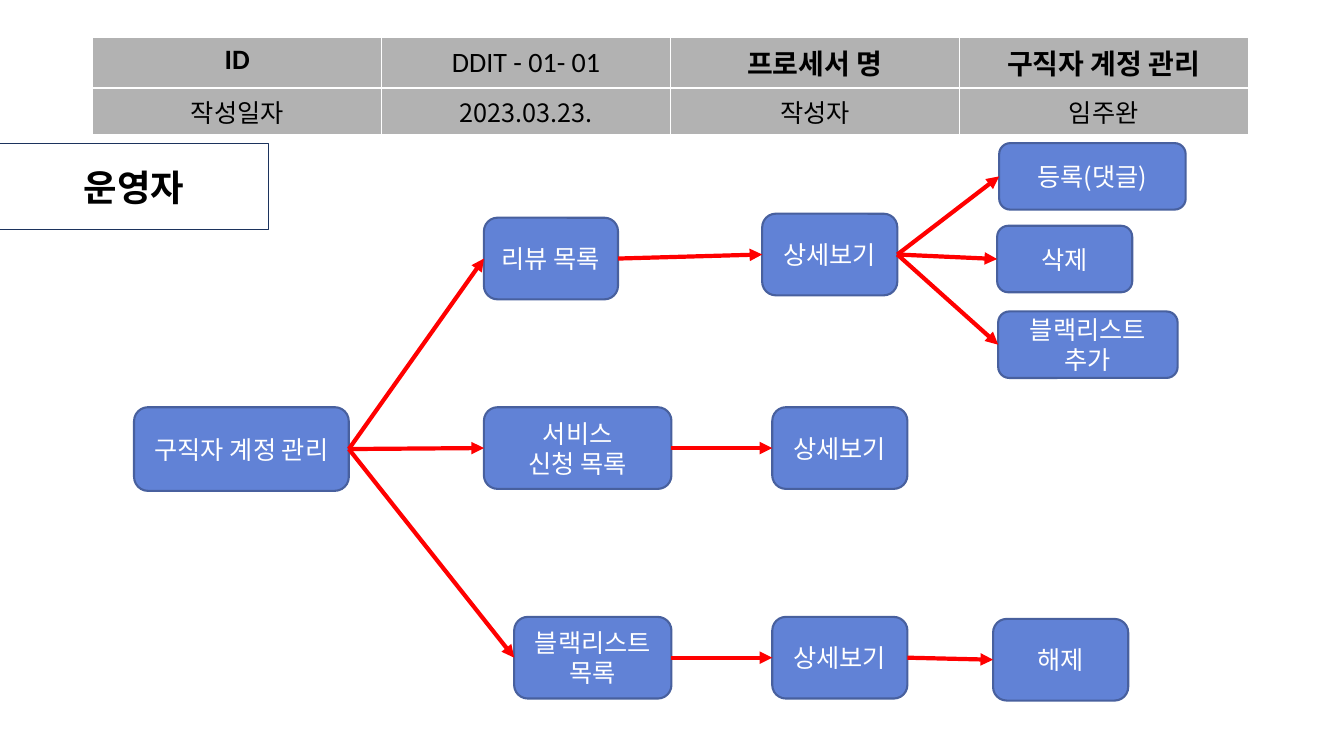
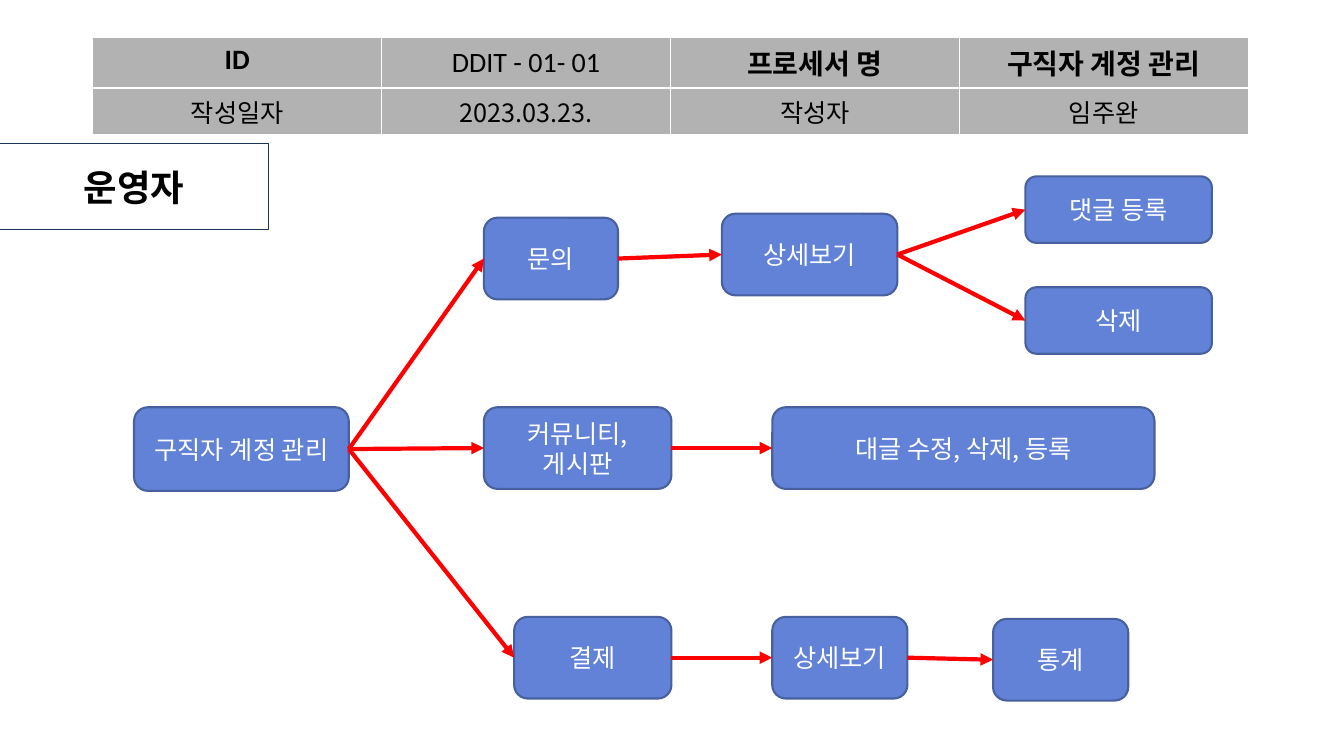
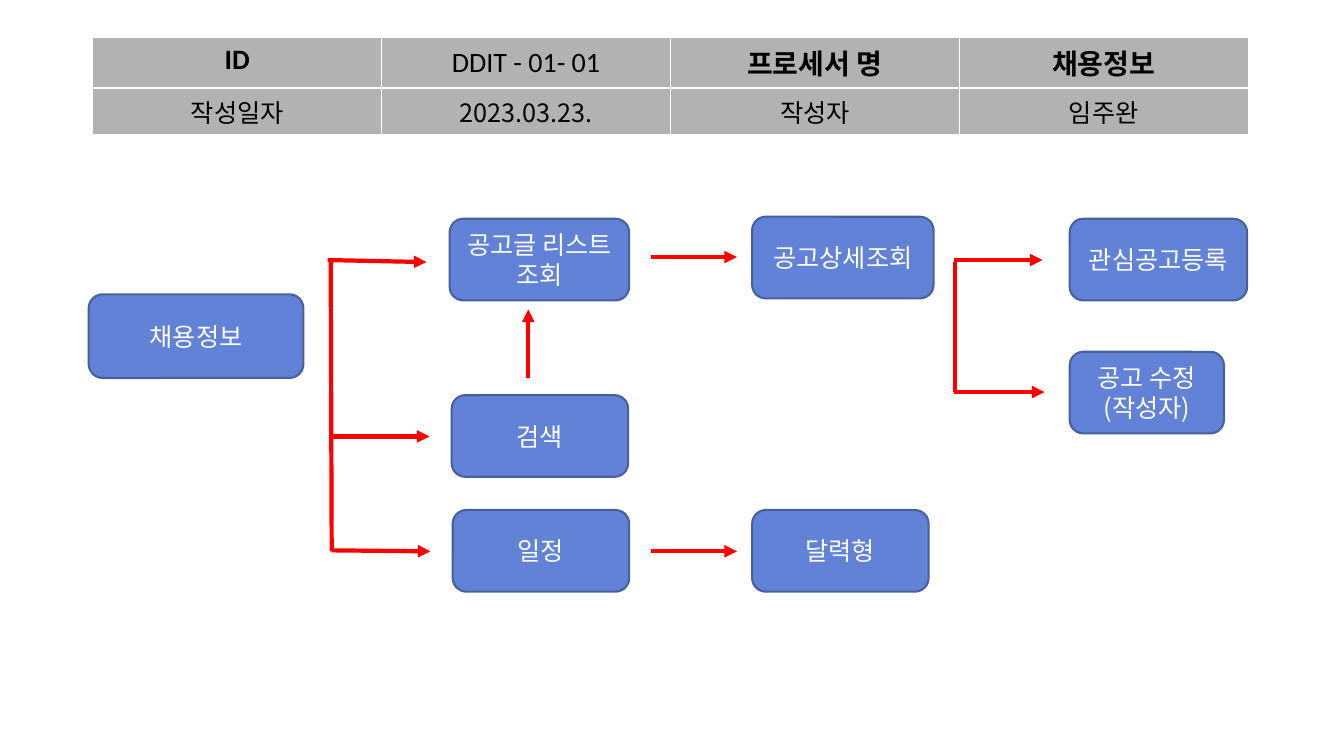
from dataclasses import dataclass
from typing import NamedTuple

from lxml.etree import SubElement
from pptx import Presentation
from pptx.dml.color import RGBColor as Rgb
from pptx.enum.shapes import MSO_CONNECTOR as Connector, MSO_SHAPE as Preset
from pptx.enum.text import MSO_ANCHOR as Anchor, PP_ALIGN as Align
from pptx.oxml.ns import qn
from pptx.util import Inches, Pt


@dataclass(frozen=True)
class Theme:
    white: Rgb = Rgb(0xFF, 0xFF, 0xFF)
    black: Rgb = Rgb(0, 0, 0)
    header_fill: Rgb = Rgb(0xB2, 0xB2, 0xB2)
    step_fill: Rgb = Rgb(0x61, 0x82, 0xD6)
    step_edge: Rgb = Rgb(0x48, 0x60, 0x9E)
    role_edge: Rgb = Rgb(0x1C, 0x33, 0x5D)
    flow: Rgb = Rgb(0xFF, 0, 0)
    korean: str = "Noto Sans CJK KR"
    heading: str = "Calibri"
    body_size: int = 18
    heading_size: int = 20
    role_size: int = 26
    step_edge_width: float = 1.5
    flow_width: float = 3
    border_width: float = 1


THEME = Theme()


class Box(NamedTuple):
    left: float
    top: float
    width: float
    height: float = 0.81


class Segment(NamedTuple):
    x1: float
    y1: float
    x2: float
    y2: float
    arrow: bool = True


@dataclass(frozen=True)
class Step:
    text: str
    box: Box
    leads_to: tuple["Step", ...] = ()


@dataclass(frozen=True)
class Page:
    process: str
    steps: tuple[Step, ...]
    role: str = ""
    segments: tuple[Segment, ...] = ()


ROLE = Box(0, 1.42, 2.66, 0.86)
ROOT = Box(1.33, 4.04, 2.13, 0.83)
UPPER = Box(4.8, 2.16, 1.33)
MIDDLE = Box(4.8, 4.04, 1.86)
LOWER = Box(5.1, 6.12, 1.56)
MIDDLE_DETAIL = Box(7.66, 4.04, 1.34)
LOWER_DETAIL = Box(7.66, 6.12, 1.34)
LOWER_RESULT = Box(9.85, 6.14, 1.34)

REVIEW_ACTIONS = (
    Step("등록(댓글)", Box(9.91, 1.42, 1.85, 0.66)),
    Step("삭제", Box(9.89, 2.24, 1.34, 0.66)),
    Step("블랙리스트 추가", Box(9.9, 3.09, 1.78, 0.66)),
)
INQUIRY_ACTIONS = (
    Step("댓글 등록", Box(10.17, 1.75, 1.85, 0.66)),
    Step("삭제", Box(10.17, 2.85, 1.85, 0.66)),
)


def account_page(*branches: Step) -> Page:
    account = "구직자 계정 관리"
    return Page(account, (Step(account, ROOT, branches),), "운영자")


def lower_branch(text: str, result: str) -> Step:
    detail = Step("상세보기", LOWER_DETAIL, (Step(result, LOWER_RESULT),))
    return Step(text, LOWER, (detail,))


PAGES = (
    account_page(
        Step("리뷰 목록", UPPER,
             (Step("상세보기", Box(7.56, 2.12, 1.34), REVIEW_ACTIONS),)),
        Step("서비스\n신청 목록", MIDDLE, (Step("상세보기", MIDDLE_DETAIL),)),
        lower_branch("블랙리스트 목록", "해제"),
    ),
    account_page(
        Step("문의", UPPER,
             (Step("상세보기", Box(7.16, 2.12, 1.74), INQUIRY_ACTIONS),)),
        Step("커뮤니티, 게시판", MIDDLE,
             (Step("대글 수정, 삭제, 등록", MIDDLE_DETAIL._replace(width=3.79)),)),
        lower_branch("결제", "통계"),
    ),
    Page(
        "채용정보",
        (
            Step("채용정보", Box(0.88, 2.92, 2.13, 0.83)),
            Step("공고글 리스트 조회", Box(4.46, 2.17, 1.78)),
            Step("검색", Box(4.48, 3.92, 1.75)),
            Step("일정", Box(4.49, 5.06, 1.75)),
            Step("공고상세조회", Box(7.46, 2.15, 1.8)),
            Step("달력형", Box(7.46, 5.06, 1.75)),
            Step("관심공고등록", Box(10.61, 2.17, 1.76)),
            Step("공고 수정\v(작성자)", Box(10.61, 3.49, 1.53)),
        ),
        segments=(
            Segment(3.28, 2.6, 3.29, 5.47, arrow=False),
            Segment(3.25, 2.58, 4.23, 2.6),
            Segment(3.29, 4.33, 4.26, 4.33),
            Segment(3.29, 5.46, 4.27, 5.47),
            Segment(5.24, 3.75, 5.24, 3.07),
            Segment(6.46, 2.55, 7.31, 2.55),
            Segment(6.46, 5.47, 7.31, 5.47),
            Segment(9.47, 2.6, 9.47, 3.89, arrow=False),
            Segment(9.46, 2.58, 10.34, 2.58),
            Segment(9.46, 3.89, 10.36, 3.89),
        ),
    ),
)


def write(frame, text: str, size: int, color: Rgb,
          bold: bool = False, latin: str = THEME.korean) -> None:
    frame.text = text
    for paragraph in frame.paragraphs:
        paragraph.alignment = Align.CENTER
        font = paragraph.font
        font.size, font.bold, font.name = Pt(size), bold, latin
        font.color.rgb = color
        east_asian = SubElement(font._element, qn("a:ea"))
        east_asian.set("typeface", THEME.korean)


def add_borders(cell) -> None:
    properties = cell._tc.get_or_add_tcPr()
    for side in ("lnL", "lnR", "lnT", "lnB"):
        border = SubElement(properties, qn(f"a:{side}"), w=str(Pt(THEME.border_width)))
        fill = SubElement(border, qn("a:solidFill"))
        SubElement(fill, qn("a:srgbClr"), val=str(THEME.white))


def add_header(slide, process: str) -> None:
    rows = (
        ("ID", "DDIT - 01- 01", "프로세서 명", process),
        ("작성일자", "2023.03.23.", "작성자", "임주완"),
    )
    header = slide.shapes.add_table(
        2, 4, Inches(0.92), Inches(0.37), Inches(11.46), Inches(0.84)).table
    for row, height in zip(header.rows, (0.43, 0.41)):
        row.height = Inches(height)
    for r, texts in enumerate(rows):
        for c, text in enumerate(texts):
            cell = header.cell(r, c)
            if r == 0:
                write(cell.text_frame, text, THEME.heading_size, THEME.black,
                      c != 1, THEME.heading)
            else:
                write(cell.text_frame, text, THEME.body_size, THEME.black)
                add_borders(cell)
            cell.fill.solid()
            cell.fill.fore_color.rgb = THEME.header_fill
    document_id = header.cell(0, 1)
    document_id.vertical_anchor = Anchor.MIDDLE
    document_id.margin_left = document_id.margin_right = 0
    document_id.margin_top = document_id.margin_bottom = 0


def add_box(slide, preset: Preset, box: Box, fill: Rgb, edge: Rgb, edge_width: float):
    shape = slide.shapes.add_shape(preset, *map(Inches, box))
    shape.shadow.inherit = False
    shape.fill.solid()
    shape.fill.fore_color.rgb = fill
    shape.line.color.rgb = edge
    shape.line.width = Pt(edge_width)
    shape.text_frame.word_wrap = True
    shape.text_frame.vertical_anchor = Anchor.MIDDLE
    return shape


def add_flow(slide, segment: Segment):
    flow = slide.shapes.add_connector(Connector.STRAIGHT, *map(Inches, segment[:4]))
    flow.line.color.rgb = THEME.flow
    flow.line.width = Pt(THEME.flow_width)
    if segment.arrow:
        SubElement(flow.line._get_or_add_ln(), qn("a:tailEnd"), type="triangle")
    SubElement(flow._element.spPr, qn("a:effectLst"))
    return flow


def add_step(slide, step: Step):
    shape = add_box(slide, Preset.ROUNDED_RECTANGLE, step.box,
                    THEME.step_fill, THEME.step_edge, THEME.step_edge_width)
    write(shape.text_frame, step.text, THEME.body_size, THEME.white)
    for following in step.leads_to:
        target = add_step(slide, following)
        flow = add_flow(slide, Segment(0, 0, 1, 1))
        flow.begin_connect(shape, 3)
        flow.end_connect(target, 1)
    return shape


def add_role(slide, role: str) -> None:
    shape = add_box(slide, Preset.RECTANGLE, ROLE, THEME.white, THEME.role_edge, 0)
    write(shape.text_frame, role, THEME.role_size, THEME.black, True)


def main() -> None:
    deck = Presentation()
    deck.slide_width, deck.slide_height = Inches(13.33), Inches(7.5)
    for page in PAGES:
        slide = deck.slides.add_slide(deck.slide_layouts[6])
        add_header(slide, page.process)
        if page.role:
            add_role(slide, page.role)
        for step in page.steps:
            add_step(slide, step)
        for segment in page.segments:
            add_flow(slide, segment)
    deck.save("out.pptx")


if __name__ == "__main__":
    main()
